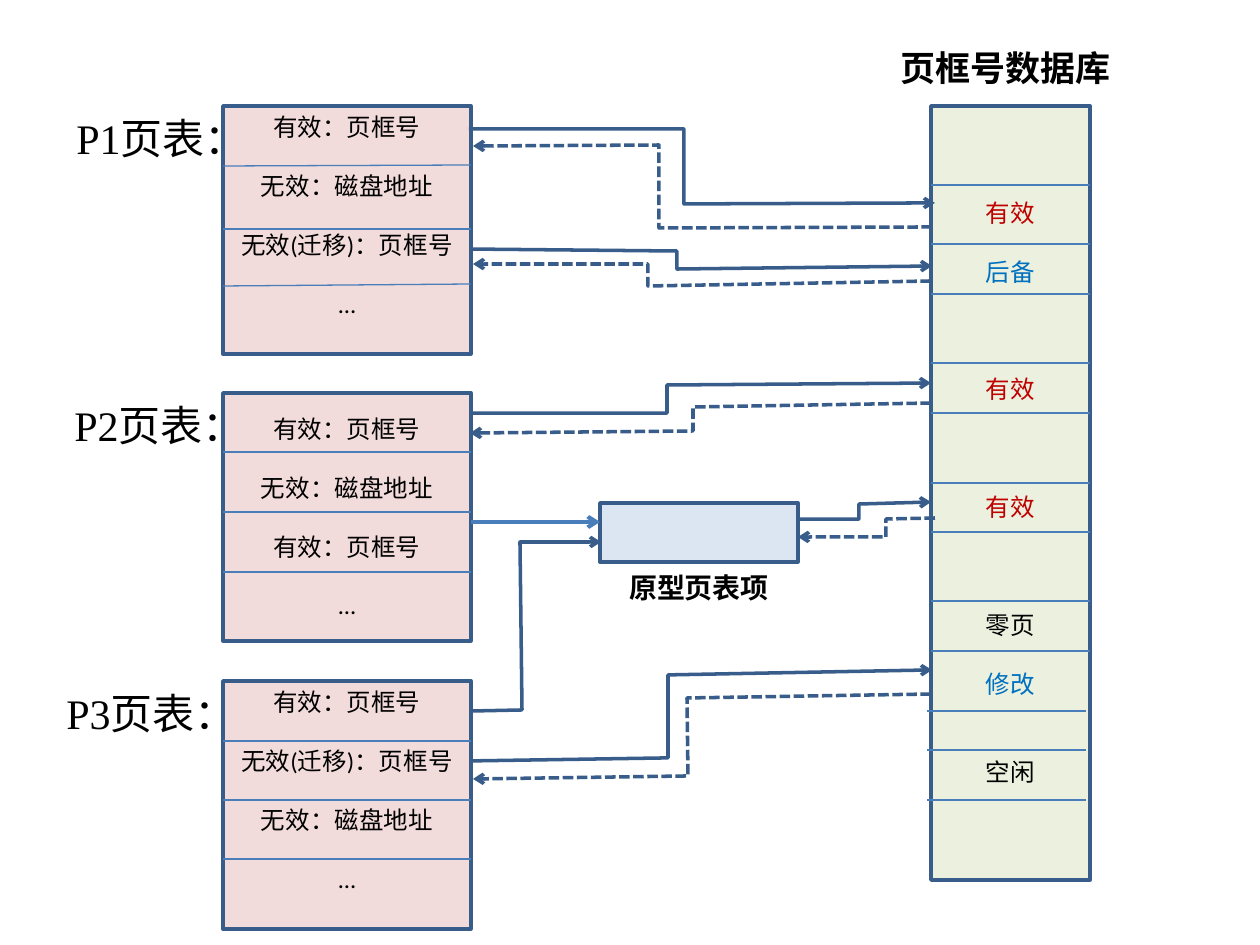
from dataclasses import dataclass

import pptx
from lxml import etree
from pptx import util as u
from pptx.dml.color import RGBColor
from pptx.enum import dml, shapes, text
from pptx.oxml.ns import qn

PX = 914400 / 126  # EMU in one px
PITCH = 16.8  # points from one line of 14 pt text to the next
HUES = {"ink": "000000", "edge": "385D8A", "rule": "4A7EBB", "pink": "F2DCDB",
        "green": "EBF1DE", "pale": "DCE6F2", "red": "C00000", "blue": "0070C0"}


@dataclass
class Entry:
    words: str
    hue: str = "ink"
    skip: int = 1  # free lines above


@dataclass
class Rule:
    left: int
    start: int
    end: int


@dataclass
class Block:
    box: tuple[int, int, int, int]
    fill: str
    top: int = 0
    rows: tuple[Entry, ...] = ()
    rules: tuple[Rule, ...] = ()


@dataclass
class Label:
    box: tuple[int, int, int, int]
    words: str
    size: int
    bold: bool = False
    align: text.PP_ALIGN = text.PP_ALIGN.LEFT


@dataclass
class Route:
    points: tuple[tuple[int, int], ...]
    dashed: bool = False


def level(left: int, *heights: int) -> tuple[Rule, ...]:
    return tuple(Rule(left, y, y) for y in heights)


VALID, DISK = Entry("有效：页框号"), Entry("无效：磁盘地址")
MOVED, MORE = Entry("无效(迁移)：页框号"), Entry("…")

BLOCKS = (
    Block((931, 106, 159, 774), "green", 92,
          (Entry("有效", "red"), Entry("后备", "blue"), Entry("有效", "red", 3),
           Entry("有效", "red", 3), Entry("零页", "ink", 3),
           Entry("修改", "blue"), Entry("空闲", "ink", 2)),
          level(931, 185, 244, 294, 363, 413, 483, 532, 601, 651)
          + level(927, 711, 750, 800)),
    Block((223, 106, 248, 248), "pink", 6, (VALID, DISK, MOVED, MORE),
          (Rule(223, 166, 165), Rule(223, 229, 229), Rule(223, 286, 284))),
    Block((223, 393, 248, 248), "pink", 21, (VALID, DISK, VALID, MORE),
          level(223, 452, 512, 572)),
    Block((223, 681, 248, 248), "pink", 6, (VALID, MOVED, DISK, MORE),
          level(223, 741, 800, 859)),
    Block((600, 503, 198, 59), "pale"),
)

LABELS = (
    Label((600, 564, 198, 47), "原型页表项", 16, True, text.PP_ALIGN.CENTER),
    Label((64, 106, 155, 113), "P1页表：", 24),
    Label((62, 393, 155, 113), "P2页表：", 24),
    Label((54, 681, 155, 113), "P3页表：", 24),
    Label((888, 40, 238, 55), "页框号数据库", 20, True),
)

ROUTES = (
    Route(((471, 711), (522, 710), (520, 542), (601, 542))),
    Route(((798, 519), (859, 519), (859, 504), (931, 502))),
    Route(((935, 518), (886, 519), (886, 537), (798, 537)), True),
    Route(((470, 413), (667, 413), (667, 385), (931, 383))),
    Route(((931, 403), (693, 407), (693, 431), (470, 433)), True),
    Route(((469, 129), (684, 129), (684, 204), (935, 203))),
    Route(((932, 227), (659, 228), (659, 145), (473, 146)), True),
    Route(((470, 249), (677, 251), (677, 269), (932, 266))),
    Route(((931, 281), (648, 286), (648, 264), (473, 264)), True),
    Route(((471, 761), (668, 758), (668, 675), (932, 670))),
    Route(((931, 694), (687, 698), (688, 776), (473, 779)), True),
)


def scale(*sizes: int) -> list[int]:
    return [round(size * PX) for size in sizes]


def stroke(line, hue: str, width: float) -> None:
    line.color.rgb = RGBColor.from_string(HUES[hue])
    line.width = u.Pt(width)


def point(shape) -> None:
    """Put an open arrowhead at the end of the line."""
    ln = shape.element.spPr.find(qn("a:ln"))
    etree.SubElement(ln, qn("a:tailEnd"), type="arrow")


def write(para, words: str, font: str, size: int, hue: str = "ink",
          bold: bool = False) -> None:
    run = para.add_run()
    run.text = words
    run.font.name, run.font.size, run.font.bold = font, u.Pt(size), bold
    run.font.color.rgb = RGBColor.from_string(HUES[hue])


def join(slide, start: tuple[int, int], end: tuple[int, int], width: float):
    """Draw a straight line between two points."""
    line = slide.shapes.add_connector(shapes.MSO_CONNECTOR.STRAIGHT,
                                      *scale(*start, *end))
    stroke(line.line, "rule", width)
    etree.SubElement(line.element.spPr, qn("a:effectLst"))
    return line


def draw_block(slide, block: Block) -> None:
    rect = slide.shapes.add_shape(shapes.MSO_SHAPE.RECTANGLE, *scale(*block.box))
    rect.shadow.inherit = False
    rect.fill.solid()
    rect.fill.fore_color.rgb = RGBColor.from_string(HUES[block.fill])
    stroke(rect.line, "edge", 2)
    frame = rect.text_frame
    frame.word_wrap = True
    frame.vertical_anchor = text.MSO_ANCHOR.TOP
    frame.margin_top, frame.margin_bottom = scale(block.top, 0)
    for i, row in enumerate(block.rows):
        para = frame.add_paragraph() if i else frame.paragraphs[0]
        para.alignment = text.PP_ALIGN.CENTER
        if i:
            para.space_before = u.Pt(round(row.skip * PITCH, 1))
        write(para, row.words, "Calibri", 14, row.hue)
    for rule in block.rules:
        join(slide, (rule.left, rule.start),
             (rule.left + block.box[2], rule.end), 0.75)


def draw_label(slide, label: Label) -> None:
    frame = slide.shapes.add_textbox(*scale(*label.box)).text_frame
    frame.word_wrap = True
    frame.auto_size = text.MSO_AUTO_SIZE.SHAPE_TO_FIT_TEXT
    para = frame.paragraphs[0]
    para.alignment = label.align
    write(para, label.words, "Times New Roman", label.size, bold=label.bold)


def draw_route(slide, route: Route) -> None:
    first, *rest = route.points
    pen = slide.shapes.build_freeform(*first, scale=PX)
    pen.add_line_segments(rest, close=False)
    path = pen.convert_to_shape()
    path.shadow.inherit = False
    path.fill.background()
    stroke(path.line, "edge", 2)
    if route.dashed:
        path.line.dash_style = dml.MSO_LINE.SQUARE_DOT
    point(path)


def main() -> None:
    deck = pptx.Presentation()
    deck.slide_width, deck.slide_height = scale(1260, 945)
    slide = deck.slides.add_slide(deck.slide_layouts[6])
    for block in BLOCKS:
        draw_block(slide, block)
    point(join(slide, (471, 522), (600, 522), 2.25))
    for route in ROUTES:
        draw_route(slide, route)
    for label in LABELS:
        draw_label(slide, label)
    deck.save("out.pptx")


if __name__ == "__main__":
    main()
